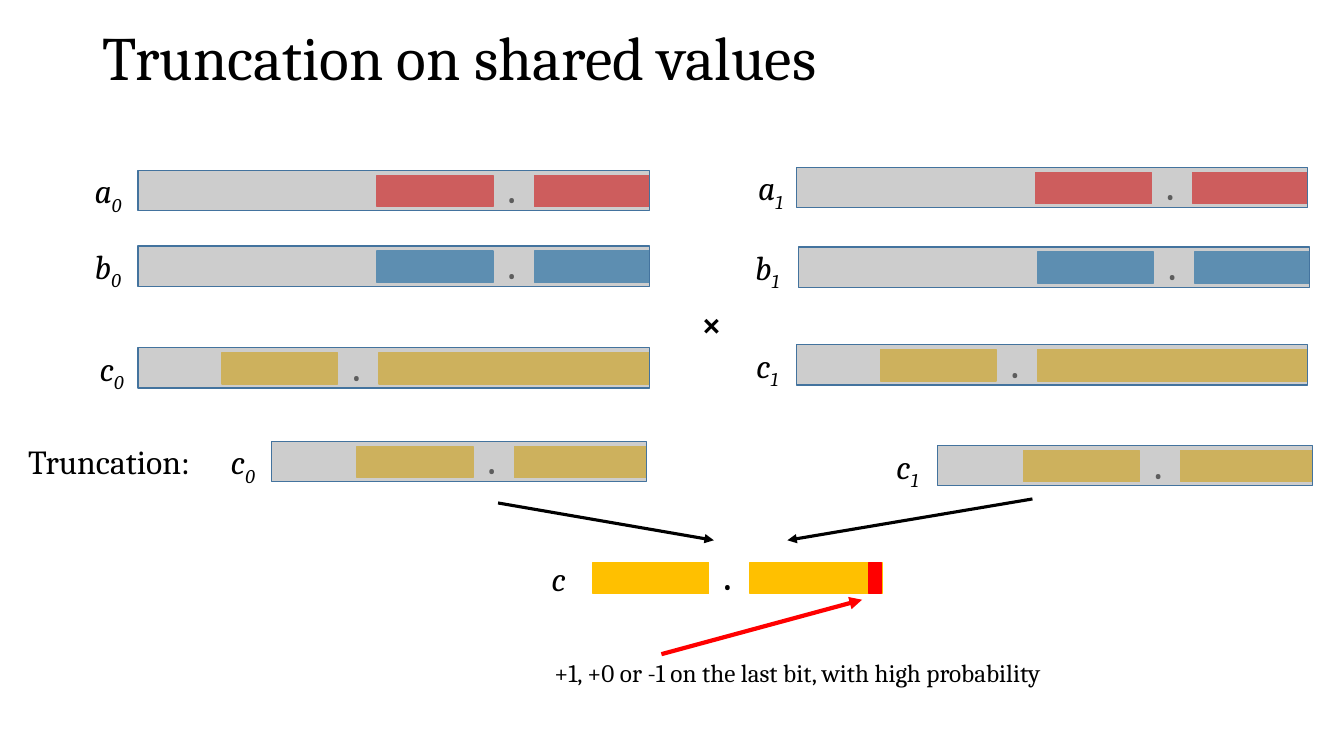
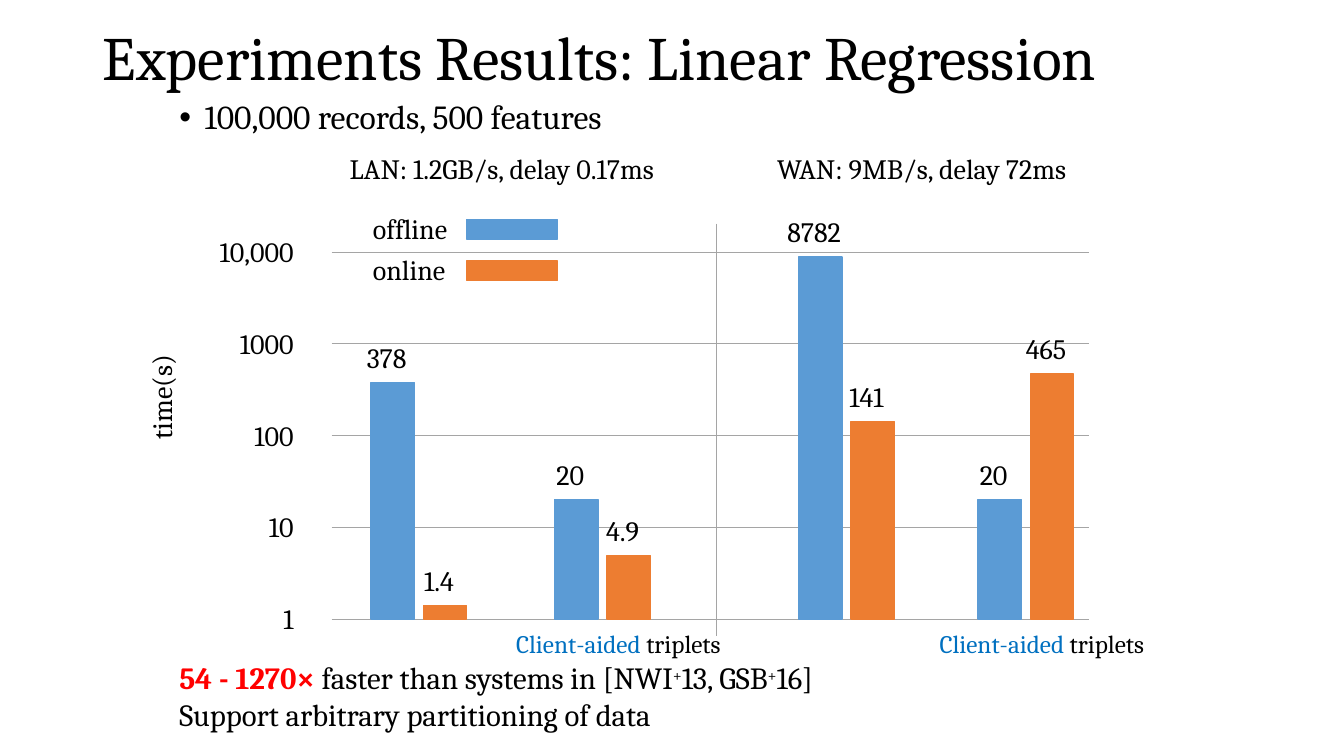
from dataclasses import dataclass
from math import log10

from lxml.etree import SubElement
from pptx import Presentation
from pptx.dml.color import RGBColor
from pptx.enum.shapes import MSO_CONNECTOR as Connector
from pptx.enum.shapes import MSO_SHAPE as Shape
from pptx.enum.text import MSO_ANCHOR as Anchor
from pptx.enum.text import MSO_AUTO_SIZE as AutoSize
from pptx.enum.text import PP_ALIGN as Align
from pptx.oxml.ns import qn
from pptx.slide import Slide
from pptx.util import Inches, Pt


@dataclass(frozen=True)
class Theme:
    font: str = "Cambria"
    title: int = 44
    large: int = 24
    summary: int = 22
    chart: int = 20
    note: int = 18
    black: str = "000000"
    red: str = "FF0000"
    blue: str = "0070C0"
    gold: str = "FFC000"
    grey: str = "A6A6A6"
    outline: str = "43739E"
    grid: str = "A5A5A5"
    offline: str = "5B9BD5"
    online: str = "ED7D31"


THEME = Theme()


@dataclass(frozen=True)
class Span:
    text: str
    size: int = THEME.large
    color: str = THEME.black
    bold: bool = False
    italic: bool = False
    baseline: int = 0


@dataclass(frozen=True)
class Register:
    """A machine word that holds one share of a fixed-point number."""
    name: str
    index: str
    label_x: float
    x: float
    y: float
    fraction: float
    color: str
    width: float = 5.07


@dataclass(frozen=True)
class Network:
    """Heading and caption of one half of the bar diagram."""
    title: str
    title_x: float
    caption_x: float


@dataclass(frozen=True)
class Timing:
    """One pair of bars, in seconds."""
    x: float
    offline: float
    online: float


# Shared drawing functions

def rgb(color: str) -> RGBColor:
    return RGBColor.from_string(color)


def style_run(run, span: Span) -> None:
    font = run.font
    font.name, font.size = THEME.font, Pt(span.size)
    font.bold, font.italic = span.bold, span.italic
    font.color.rgb = rgb(span.color)
    if span.baseline:
        run._r.get_or_add_rPr().set("baseline", str(span.baseline * 1000))


def fill_para(para, spans: list[Span]) -> None:
    for span in spans:
        run = para.add_run()
        run.text = span.text
        style_run(run, span)


def add_text(slide: Slide, x: float, y: float, width: float, *lines: list[Span],
             height: float = 0.5, rotation: float = 0, align: Align = Align.LEFT) -> None:
    box = slide.shapes.add_textbox(Inches(x), Inches(y), Inches(width), Inches(height))
    box.rotation = rotation
    frame = box.text_frame
    frame.word_wrap = True
    for number, spans in enumerate(lines):
        para = frame.add_paragraph() if number else frame.paragraphs[0]
        para.alignment = align
        fill_para(para, spans)


def add_block(slide: Slide, x: float, y: float, width: float, height: float,
              color: str, outline: str = "", opacity: int = 100) -> None:
    block = slide.shapes.add_shape(Shape.RECTANGLE, Inches(x), Inches(y),
                                   Inches(width), Inches(height))
    block.shadow.inherit = False
    block.fill.solid()
    block.fill.fore_color.rgb = rgb(color)
    block.line.color.rgb = rgb(outline or color)
    block.line.width = Pt(1)
    if opacity < 100:
        tint = block._element.spPr.find(qn("a:solidFill")).find(qn("a:srgbClr"))
        SubElement(tint, qn("a:alpha")).set("val", str(opacity * 1000))


def add_line(slide: Slide, start: tuple[float, float], end: tuple[float, float],
             color: str, width: float, arrow: bool = False) -> None:
    line = slide.shapes.add_connector(Connector.STRAIGHT, *map(Inches, start + end))
    line.line.color.rgb = rgb(color)
    line.line.width = Pt(width)
    if arrow:
        SubElement(line.line._get_or_add_ln(), qn("a:tailEnd")).set("type", "triangle")
    SubElement(line._element.spPr, qn("a:effectLst"))


def place(holder, x: float, y: float, width: float, height: float) -> None:
    holder.left, holder.top = Inches(x), Inches(y)
    holder.width, holder.height = Inches(width), Inches(height)


def fill_holder(holder, span: Span):
    frame = holder.text_frame
    frame.auto_size = AutoSize.NONE
    frame.text = span.text
    para = frame.paragraphs[0]
    para.alignment, para.line_spacing = Align.LEFT, 0.9
    style_run(para.runs[0], span)
    return para


def add_slide(deck, layout: int, title: str) -> Slide:
    slide = deck.slides.add_slide(deck.slide_layouts[layout])
    holder = slide.shapes.title
    place(holder, 0.92, 0, 11.5, 1.21)
    fill_holder(holder, Span(title, THEME.title))
    holder.text_frame.vertical_anchor = Anchor.MIDDLE
    return slide


# Slide 1: fixed-point registers

REGISTERS = [
    Register("a", "0", 0.84, 1.37, 1.69, 1.14, THEME.red),
    Register("b", "0", 0.84, 1.37, 2.44, 1.14, THEME.blue),
    Register("c", "0", 0.89, 1.37, 3.45, 2.68, THEME.gold),
    Register("c", "0", 2.19, 2.69, 4.38, 1.31, THEME.gold, 3.72),
    Register("a", "1", 7.42, 7.9, 1.66, 1.14, THEME.red),
    Register("b", "1", 7.39, 7.92, 2.45, 1.14, THEME.blue),
    Register("c", "1", 7.4, 7.9, 3.42, 2.68, THEME.gold),
    Register("c", "1", 8.79, 9.3, 4.42, 1.31, THEME.gold, 3.72),
]
FIELD_HEIGHT = 0.31


def add_number(slide: Slide, right: float, y: float, fraction: float, color: str) -> None:
    """Draw the whole part, the point and the fraction, ending at right."""
    point = right - fraction
    add_block(slide, point - 1.56, y, 1.15, FIELD_HEIGHT, color)
    add_block(slide, point, y, fraction, FIELD_HEIGHT, color)
    add_text(slide, point - 0.36, y - 0.1, 0.4, [Span(".", bold=True)])


def add_register(slide: Slide, item: Register) -> None:
    add_number(slide, item.x + item.width, item.y + 0.05, item.fraction, item.color)
    add_block(slide, item.x, item.y, item.width, 0.4, THEME.grey, THEME.outline, 56)
    add_text(slide, item.label_x, item.y - 0.05, 0.61,
             [Span(item.name, italic=True), Span(item.index, italic=True, baseline=-25)])


def build_truncation(deck) -> None:
    slide = add_slide(deck, 5, "Truncation on shared values")
    for item in REGISTERS:
        add_register(slide, item)
    add_text(slide, 6.86, 2.96, 0.44, [Span("×", bold=True)])
    add_text(slide, 0.18, 4.33, 2.2, [Span("Truncation:")])
    # Recombined result and its last bit
    add_line(slide, (4.94, 4.99), (7.08, 5.36), THEME.black, 2.25, arrow=True)
    add_line(slide, (10.24, 4.95), (7.81, 5.36), THEME.black, 2.25, arrow=True)
    add_text(slide, 5.37, 5.49, 0.41, [Span("c", italic=True)])
    add_number(slide, 8.75, 5.58, 1.31, THEME.gold)
    add_block(slide, 8.62, 5.58, 0.12, FIELD_HEIGHT, THEME.red)
    add_line(slide, (6.56, 6.49), (8.55, 5.95), THEME.red, 3, arrow=True)
    add_text(slide, 5.4, 6.47, 6.69,
             [Span("+1, +0 or -1 on the last bit, with high probability", THEME.note)],
             height=0.4)


# Slide 2: bar diagram in which every power of ten has equal height

NETWORKS = [
    Network("LAN: 1.2GB/s, delay 0.17ms", 3.37, 5.02),
    Network("WAN: 9MB/s, delay 72ms", 7.61, 9.22),
]
TIMINGS = [
    Timing(3.68, 378, 1.4),
    Timing(5.5, 20, 4.9),
    Timing(7.92, 8782, 141),
    Timing(9.7, 20, 465),
]
SCALE = ["1", "10", "100", "1000", "10,000"]
LEGEND = [("offline", THEME.offline), ("online", THEME.online)]
BASE_Y, DECADE = 6.14, 0.91
BAR_WIDTH, BAR_STEP, LABEL_WIDTH = 0.43, 0.52, 0.9


def add_bar(slide: Slide, x: float, seconds: float, color: str) -> None:
    height = DECADE * log10(seconds)
    top = BASE_Y - height
    add_block(slide, x, top, BAR_WIDTH, height, color)
    label_x = x + (BAR_WIDTH - LABEL_WIDTH) / 2 - 0.06
    add_text(slide, label_x, top - 0.47, LABEL_WIDTH, [Span(str(seconds), THEME.chart)],
             height=0.44, align=Align.CENTER)


def add_diagram(slide: Slide) -> None:
    # Grid and scale
    for power, label in enumerate(SCALE):
        y = BASE_Y - power * DECADE
        add_line(slide, (3.29, y), (10.8, y), THEME.grid, 0.5)
        add_text(slide, 1.8, y - 0.22, 1.21, [Span(label, THEME.chart)],
                 height=0.44, align=Align.RIGHT)
    add_line(slide, (7.1, 2.22), (7.1, 6.31), THEME.grid, 0.5)
    add_text(slide, 1.01, 3.65, 1.18, [Span("time(s)", THEME.chart)],
             height=0.44, rotation=270)
    # Bars
    for timing in TIMINGS:
        add_bar(slide, timing.x, timing.offline, THEME.offline)
        add_bar(slide, timing.x + BAR_STEP, timing.online, THEME.online)
    # Headings and captions
    for network in NETWORKS:
        add_text(slide, network.title_x, 1.45, 3.67, [Span(network.title, THEME.chart)],
                 height=0.44)
        add_text(slide, network.caption_x, 6.18, 2.44,
                 [Span("Client-aided", THEME.note, THEME.blue),
                  Span(" triplets", THEME.note)], height=0.4)
    # Legend
    for row, (name, color) in enumerate(LEGEND):
        y = 2.05 + row * 0.41
        add_text(slide, 3.6, y, 1.14, [Span(name, THEME.chart)], height=0.44)
        add_block(slide, 4.63, y + 0.13, 0.9, 0.19, color)


def build_results(deck) -> None:
    slide = add_slide(deck, 1, "Experiments Results: Linear Regression")
    body = slide.placeholders[1]
    place(body, 1.68, 0.95, 11.5, 0.69)
    para = fill_holder(body, Span("100,000 records, 500 features"))
    para.space_before = Pt(10)
    properties = para._p.get_or_add_pPr()
    properties.set("marL", str(Inches(0.25)))
    properties.set("indent", str(Inches(-0.25)))
    add_diagram(slide)
    # Summary
    size, plus = THEME.summary, Span("+", THEME.chart, baseline=30)
    add_text(slide, 1.68, 6.49, 7.8,
             [Span("54 - 1270× ", size, THEME.red, bold=True),
              Span("faster than systems in [NWI", size), plus,
              Span("13, GSB", size), plus, Span("16]", size)],
             [Span("Support arbitrary partitioning of data", size)], height=0.84)


def main() -> None:
    deck = Presentation()
    deck.slide_width, deck.slide_height = Inches(13.33), Inches(7.5)
    build_truncation(deck)
    build_results(deck)
    deck.save("out.pptx")


if __name__ == "__main__":
    main()
